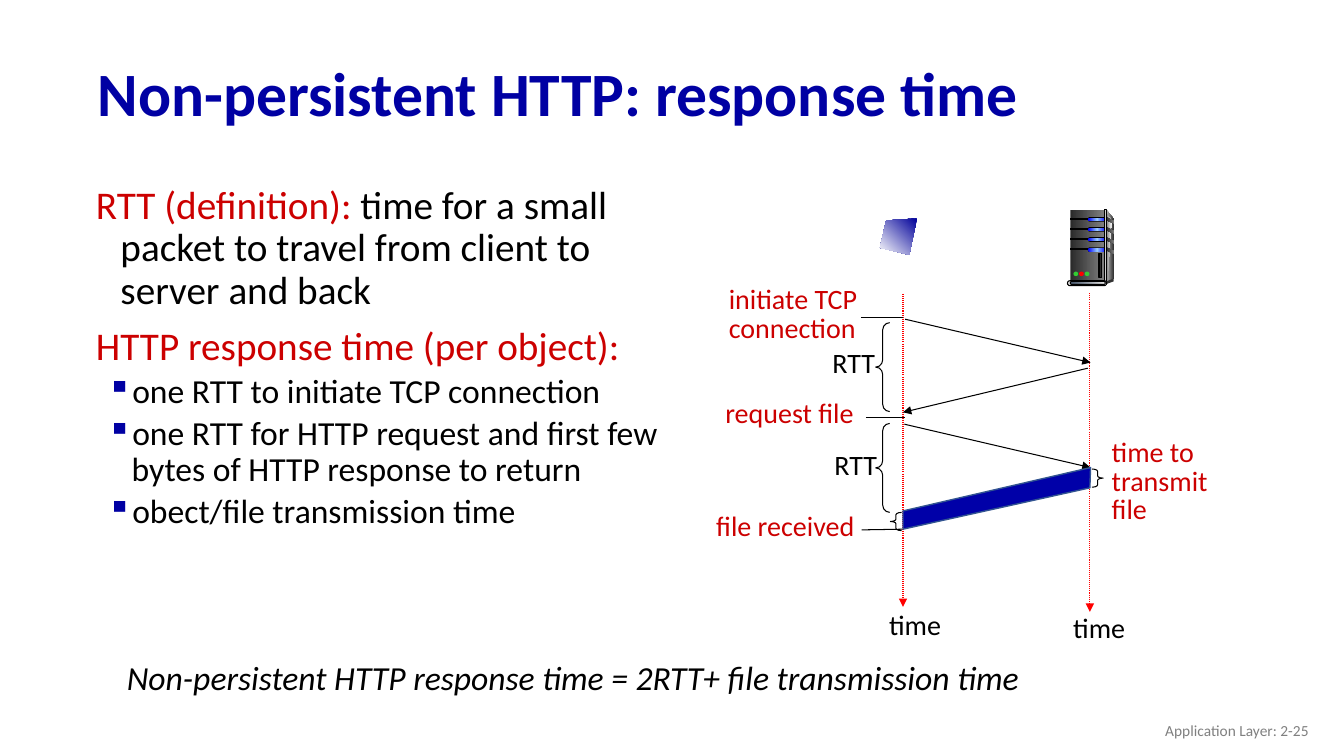
from lxml.etree import SubElement
from pptx import Presentation
from pptx.dml.color import RGBColor
from pptx.enum.dml import MSO_LINE
from pptx.enum.shapes import MSO_CONNECTOR, MSO_SHAPE as Preset
from pptx.enum.text import MSO_ANCHOR as Anchor, MSO_AUTO_SIZE as Fit, PP_ALIGN as Align
from pptx.oxml.ns import qn
from pptx.util import Pt

COLORS = {
    "title": "0000A3", "red": "CC0000", "black": "000000", "footer": "808080",
    "lifeline": "FF0000", "band": "0000A8", "band_edge": "325491", "navy": "000099",
    "white": "FFFFFF", "light": "DDDDDD", "dark": "333333", "coal": "292929",
    "gray": "808080", "pale": "F8F8F8", "blue": "0000FF", "sky": "99CCFF",
    "slate": "44546A", "silver": "E7E6E6", "green": "33CC33",
}


def color(name):
    """Return the palette colour with this name."""
    return RGBColor.from_string(COLORS[name])


def add_span(para, text, size, tint="black", bold=False, italic=False):
    """Add one formatted run to a paragraph."""
    span = para.add_run()
    span.text = text
    font = span.font
    font.name, font.size, font.bold, font.italic = "Calibri", Pt(size), bold, italic
    font.color.rgb = color(tint)


def add_text_frame(page, box, wrap=True, anchor=Anchor.TOP):
    """Add a text box and return its frame."""
    frame = page.shapes.add_textbox(*map(Pt, box)).text_frame
    frame.word_wrap, frame.vertical_anchor = wrap, anchor
    return frame


def add_label(page, box, lines, tint="black", wrap=False):
    """Add a diagram label with one paragraph for each line."""
    frame = add_text_frame(page, box, wrap)
    for index, line in enumerate(lines):
        para = frame.add_paragraph() if index else frame.paragraphs[0]
        para.line_spacing = 0.85
        add_span(para, line, 20, tint)


def paint(shape, fills=(), edge=None, width=0.75, angle=0):
    """Give a shape no fill, one colour or an even gradient, and its outline."""
    shape.shadow.inherit = False
    if not fills:
        shape.fill.background()
    elif len(fills) == 1:
        shape.fill.solid()
        shape.fill.fore_color.rgb = color(fills[0])
    else:
        shape.fill.gradient()
        shape.fill.gradient_angle = angle
        stops = shape._element.spPr.find(".//" + qn("a:gsLst"))
        stops.clear()
        for index, name in enumerate(fills):
            position = 100000 * index // (len(fills) - 1)
            stop = SubElement(stops, qn("a:gs"), pos=str(position))
            SubElement(stop, qn("a:srgbClr"), val=COLORS[name])
    if edge:
        shape.line.color.rgb = color(edge)
        shape.line.width = Pt(width)
    else:
        shape.line.fill.background()


def add_preset(page, preset, origin, box, fills=(), edge=None, adjust=None):
    """Add a preset shape at a box measured from the origin."""
    left, top, width, height = box
    shape = page.shapes.add_shape(
        preset, Pt(origin[0] + left), Pt(origin[1] + top), Pt(width), Pt(height))
    if adjust is not None:
        shape.adjustments[0] = adjust
    paint(shape, fills, edge)


def add_polygon(page, origin, points, fills, edge=None, width=0.75, angle=0):
    """Add a closed outline with points measured from the origin."""
    corners = [(Pt(origin[0] + x), Pt(origin[1] + y)) for x, y in points]
    builder = page.shapes.build_freeform(*corners[0])
    builder.add_line_segments(corners[1:], close=True)
    paint(builder.convert_to_shape(), fills, edge, width, angle)


def add_line(page, origin, ends, tint="black", arrow=False, dotted=False):
    """Add a straight line with ends measured from the origin."""
    x, y = origin
    x1, y1, x2, y2 = ends
    line = page.shapes.add_connector(
        MSO_CONNECTOR.STRAIGHT, Pt(x + x1), Pt(y + y1), Pt(x + x2), Pt(y + y2))
    line.line.color.rgb = color(tint)
    line.line.width = Pt(0.75)
    if dotted:
        line.line.dash_style = MSO_LINE.ROUND_DOT
    if arrow:
        SubElement(line.line._get_or_add_ln(), qn("a:tailEnd"), type="triangle")
    SubElement(line._element.spPr, qn("a:effectLst"))


def add_title(page, box):
    """Move and format the title placeholder."""
    title = page.shapes.title
    title.left, title.top, title.width, title.height = map(Pt, box)
    frame = title.text_frame
    frame.auto_size, frame.vertical_anchor = Fit.NONE, Anchor.MIDDLE
    para = frame.paragraphs[0]
    para.alignment, para.line_spacing = Align.LEFT, 0.9
    add_span(para, "Non-persistent HTTP: response time", 44, "title", bold=True)


def add_definitions(page, box):
    """Write the definitions and the bulleted parts of the response time."""
    frame = add_text_frame(page, box)
    headings = [
        ("RTT (definition):", " time for a small packet to travel from client to server and back"),
        ("HTTP response time (per object):", ""),
    ]
    bullets = [
        "one RTT to initiate TCP connection",
        "one RTT for HTTP request and first few bytes of HTTP response to return",
        "obect/file transmission time",
    ]
    for index, (term, meaning) in enumerate(headings):
        para = frame.add_paragraph() if index else frame.paragraphs[0]
        indent(para, 28)
        para.line_spacing, para.space_before = 0.9, Pt(10 if index else 0)
        add_span(para, term, 28, "red")
        if meaning:
            add_span(para, meaning, 28)
    for text in bullets:
        para = frame.add_paragraph()
        properties = indent(para, 36)
        tint = SubElement(properties, qn("a:buClr"))
        SubElement(tint, qn("a:srgbClr"), val=COLORS["title"])
        SubElement(properties, qn("a:buChar"), char="▪")
        para.line_spacing, para.space_before = 0.9, Pt(4)
        add_span(para, text, 24)


def indent(para, margin):
    """Set a hanging indent and return the paragraph properties."""
    properties = para._p.get_or_add_pPr()
    properties.set("marL", str(Pt(margin)))
    properties.set("indent", str(Pt(-17.5)))
    return properties


def add_server(page, origin):
    """Draw the server tower."""
    add_polygon(page, origin, [(28, 0), (33, 6.5), (33, 49), (26.5, 51)], ["light", "dark"])
    add_preset(page, Preset.RECTANGLE, origin, (2, 0, 24.5, 51), ["coal", "gray"])
    add_polygon(page, origin, [(28, 3), (31.5, 7), (28.5, 50), (28, 50)], ["gray", "pale"])
    for bay in range(4):
        y = 5.75 + 7.2 * bay
        add_preset(page, Preset.RECTANGLE, origin, (2, y, 13.5, 1.2), ["black"], "black")
        for box, fills in [((14.4, y - 0.7, 13.7, 3.3), ["black"]),
                           ((14.8, y, 12.8, 2.3), ["blue", "sky", "blue"])]:
            add_preset(page, Preset.ROUNDED_RECTANGLE, origin, box, fills, adjust=0.5)
        vent = [(27.7, y - 0.7), (33.5, y + 2.2), (33.5, y + 4), (27.7, y + 1.6)]
        add_polygon(page, origin, vent, ["coal", "gray"])
    add_preset(page, Preset.RECTANGLE, origin, (26.5, 0, 1.5, 52), ["dark", "light", "dark"], "black")
    add_polygon(page, origin, [(27.5, 51), (27.5, 53), (33, 51), (33, 49)], ["dark"])
    for box, fills in [((0, 50.5, 28, 3.6), ["light"]), ((2, 51, 25, 2.2), ["slate", "silver"])]:
        add_preset(page, Preset.ROUNDED_RECTANGLE, origin, box, fills, "black", 0.5)
    for index, tint in enumerate(["green", "lifeline", "green"]):
        add_preset(page, Preset.OVAL, origin, (4.3 + 4 * index, 44, 3.4, 3.2), [tint])
    add_preset(page, Preset.RECTANGLE, origin, (22.5, 31, 2, 17.3), ["coal"], "black")


def add_timeline(page, box):
    """Draw the message exchange between client and server."""
    left, top = origin = box[:2]
    client, server = 141, 274.5
    for ends in [(client, 66, client, 289.5), (server, 65.5, server, 293)]:
        add_line(page, origin, ends, "lifeline", arrow=True, dotted=True)
    for ends in [(142.5, 84, 275, 115), (273, 119, client, 150.5), (142, 159, 275, 190)]:
        add_line(page, origin, ends, arrow=True)
    for ends in [(111, 83, client, 83), (114.5, 154, 142.5, 154), (111.5, 234.5, 140.5, 234)]:
        add_line(page, origin, ends)
    for y in (86.5, 158.5):
        add_preset(page, Preset.LEFT_BRACE, origin, (121.5, y, 10, 63.5), edge="black", adjust=0.52)
    for (x, y, *lines), wrap, size, tint in [
        ((9.5, 57.5, "initiate TCP", "connection"), False, (107, 49), "red"),
        ((83.5, 103, "RTT"), False, (45, 28), "black"),
        ((7, 139, "request file"), True, (155, 28), "red"),
        ((85, 175.5, "RTT"), False, (45, 28), "black"),
        ((0.5, 219.5, "file received"), True, (130, 28), "red"),
        ((283, 166.5, "time to", "transmit", "file"), False, (88.5, 69), "red"),
        ((124, 290, "time"), False, (53, 28), "black"),
        ((255.5, 292, "time"), False, (53, 28), "black"),
    ]:
        add_label(page, (left + x, top + y, *size), lines, tint, wrap)
    add_server(page, (left + 258.5, top + 6))
    screen = [(151, 12), (129, 13.5), (124.5, 33), (145.5, 38)]
    add_polygon(page, origin, screen, ["navy", "white"], angle=225)
    band = [(client, 221), (275, 190), (server, 204.5), (client, 234)]
    add_polygon(page, origin, band, ["band"], "band_edge", 1)
    for preset, x, y in [(Preset.RIGHT_BRACE, 276, 191), (Preset.LEFT_BRACE, 132, 222)]:
        add_preset(page, preset, origin, (x, y, 8, 13), edge="black", adjust=0.2)


def add_formula(page, box):
    """Write the total response time."""
    para = add_text_frame(page, box).paragraphs[0]
    add_span(para, "Non-persistent HTTP response time = 2RTT+ file transmission time", 24, italic=True)


def add_footer(page, box):
    """Write the chapter and page number."""
    para = add_text_frame(page, box, anchor=Anchor.MIDDLE).paragraphs[0]
    para.alignment = Align.RIGHT
    add_span(para, "Application Layer: 2-25", 11, "footer")


def main():
    """Build and save the deck."""
    deck = Presentation()
    deck.slide_width, deck.slide_height = Pt(960), Pt(540)
    page = deck.slides.add_slide(deck.slide_layouts[5])
    add_title(page, (62.5, 34, 828, 70.5))
    add_footer(page, (726, 507.5, 216, 29))
    add_definitions(page, (51, 129, 448, 263))
    add_timeline(page, (504, 144, 374, 325))
    add_formula(page, (83.5, 466, 729, 58))
    deck.save("out.pptx")


if __name__ == "__main__":
    main()
